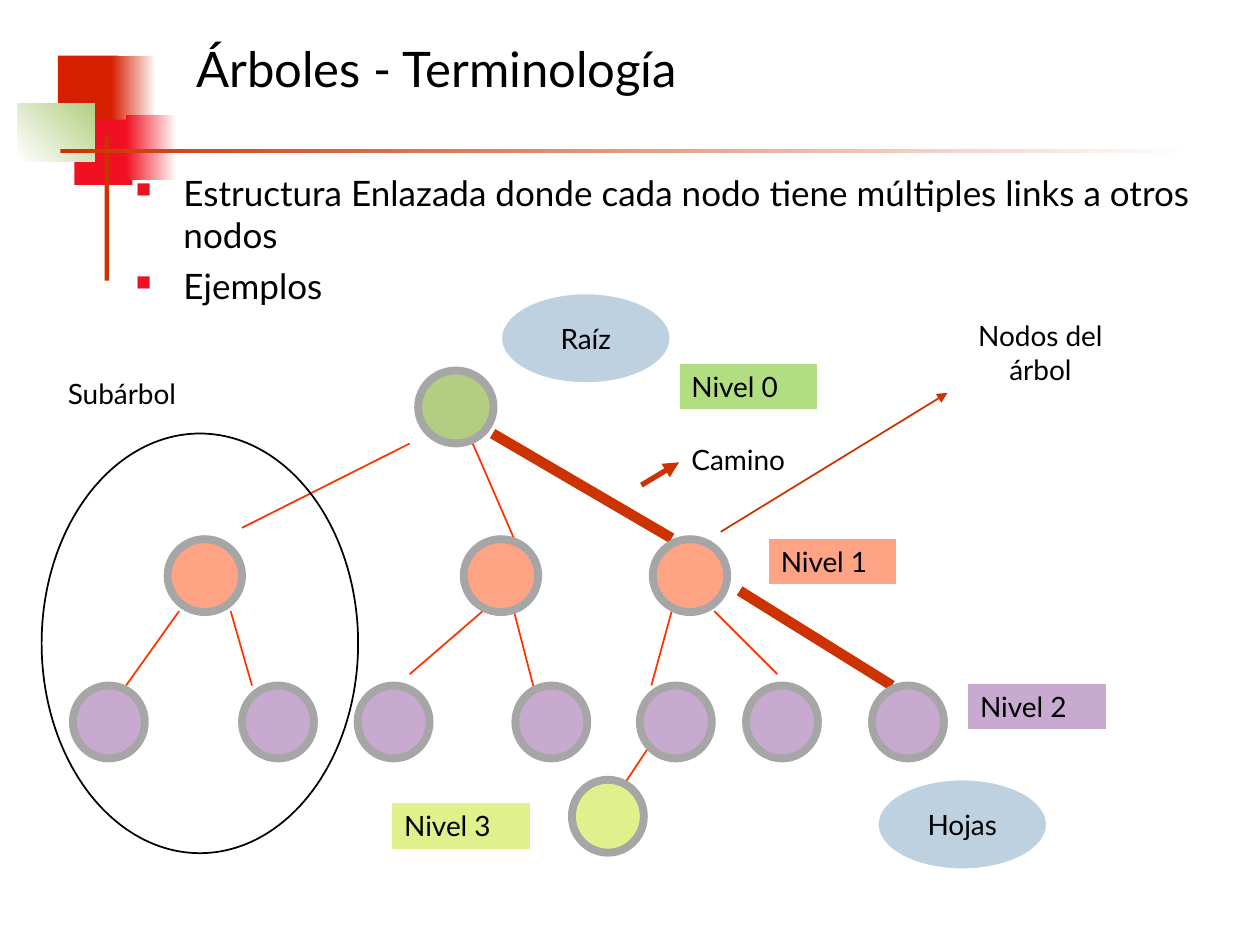
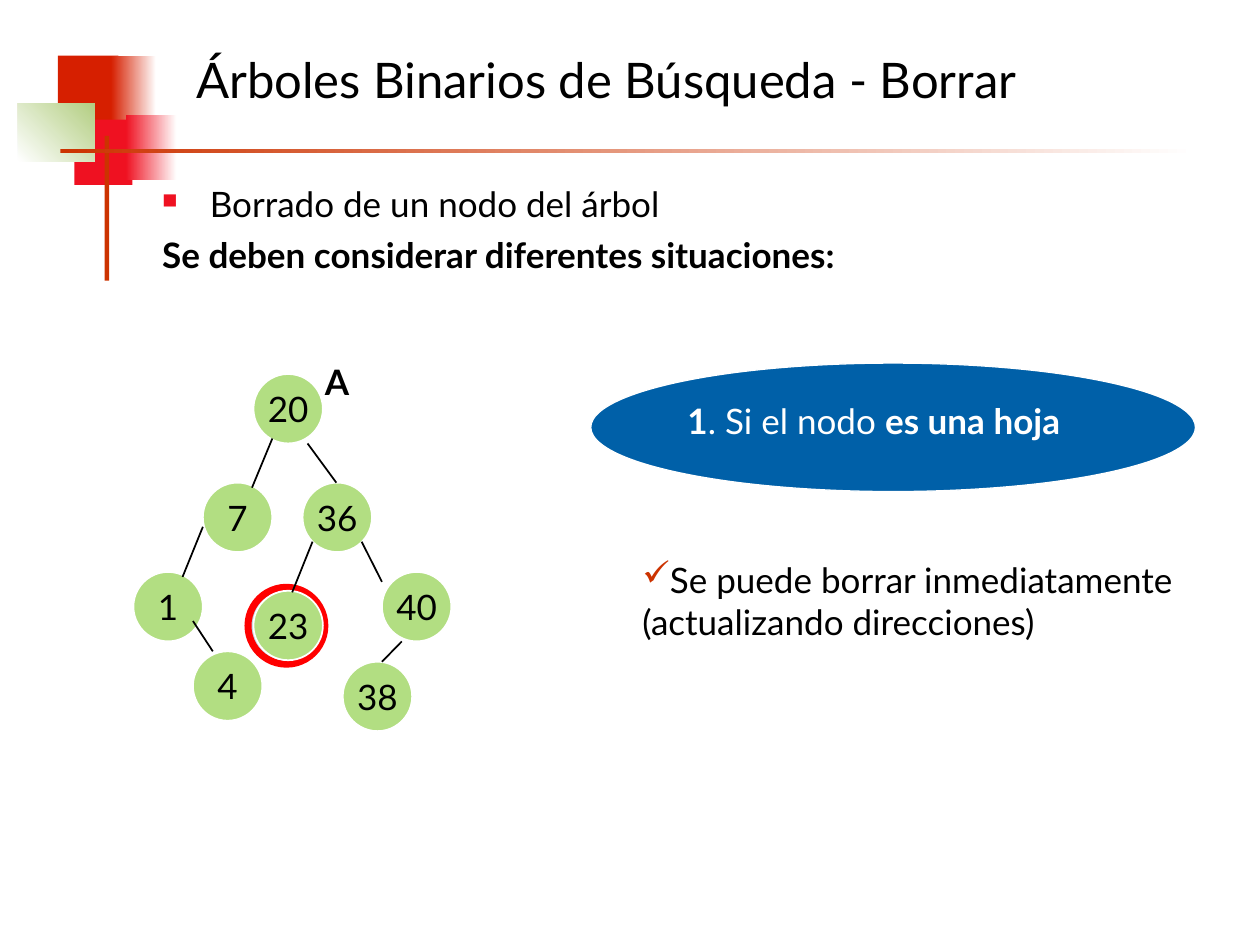
from dataclasses import dataclass
from typing import NamedTuple, Optional

import pptx
import pptx.dml.color
import pptx.enum.shapes
import pptx.enum.text
import pptx.oxml
import pptx.oxml.ns
import pptx.shapes.autoshape
import pptx.slide
import pptx.text.text
import pptx.util
from lxml import etree
from pptx.util import Cm

SHAPES = pptx.enum.shapes.MSO_SHAPE
ALIGN = pptx.enum.text.PP_ALIGN
ANCHOR = pptx.enum.text.MSO_ANCHOR


# Theme: colours and type sizes
@dataclass(frozen=True)
class Theme:
    font: str = "Lato"
    title_size: int = 28
    body_size: int = 20
    label_size: int = 16
    black: str = "000000"
    white: str = "FFFFFF"
    brick: str = "D61F00"
    crimson: str = "EF1121"
    rust: str = "CC3300"
    edge: str = "FF3300"
    highlight: str = "FF0000"
    olive: str = "B3CE82"
    green: str = "B2DE82"
    salmon: str = "FFA385"
    lilac: str = "C8AAD1"
    lime: str = "DFF08C"
    pale_blue: str = "BED1E0"
    blue: str = "0060A8"
    grey: str = "A6A6A6"


THEME = Theme()


# Element records, all lengths in centimetres
class Box(NamedTuple):
    left: float
    top: float
    width: float
    height: float


class Edge(NamedTuple):
    x1: float
    y1: float
    x2: float
    y2: float


class Band(NamedTuple):
    box: Box
    colors: tuple[str, ...]
    angle: float = 0


class Outline(NamedTuple):
    color: str
    width: float


class Level(NamedTuple):
    top: float
    width: float
    color: str
    lefts: tuple[float, ...]


class Label(NamedTuple):
    text: str
    box: Box
    fill: Optional[str] = None
    centered: bool = False


class Bullet(NamedTuple):
    char: str
    color: str
    percent: int = 100


class Line(NamedTuple):
    runs: tuple[tuple[str, bool], ...]
    bullet: Optional[Bullet] = None
    indent: float = 0
    space_before: float = 0


SQUARE = Bullet("■", THEME.crimson, 60)
CHECK = Bullet("✓", THEME.rust)
BODY_INDENT = 0.96
BODY_SPACE = 5

BANDS = (
    Band(Box(1.17, 1.12, 1.22, 1.32), (THEME.brick,)),
    Band(Box(2.24, 1.12, 0.91, 1.32), (THEME.brick, THEME.white)),
    Band(Box(1.5, 2.41, 1.17, 1.32), (THEME.crimson,)),
    Band(Box(2.54, 2.31, 1.02, 1.32), (THEME.crimson, THEME.white)),
    Band(Box(0.36, 2.08, 1.55, 1.17), (THEME.white, THEME.olive), 45),
    Band(Box(2.11, 2.74, 0.09, 2.92), (THEME.rust,)),
    Band(Box(1.22, 3, 22.86, 0.09), (THEME.rust, THEME.white)),
)

# Terminology tree
NODE_HEIGHT = 1.47
LEVELS = (
    Level(7.47, 1.52, THEME.olive, (8.43,)),
    Level(10.87, 1.5, THEME.salmon, (3.38, 9.35, 13.16)),
    Level(13.82, 1.45, THEME.lilac, (1.47, 4.88, 7.21, 10.39, 12.9, 15.04, 17.58)),
    Level(15.72, 1.45, THEME.lime, (11.53,)),
)
BRANCHES = (
    Edge(8.26, 8.94, 4.88, 10.64), Edge(9.53, 8.94, 10.36, 10.85),
    Edge(3.61, 12.32, 2.54, 13.82), Edge(4.65, 12.32, 5.08, 13.82),
    Edge(9.73, 12.32, 8.26, 13.59), Edge(10.36, 12.32, 10.8, 14.02),
    Edge(13.54, 12.32, 13.13, 13.82), Edge(14.4, 12.32, 15.67, 13.59),
    Edge(13.06, 15.09, 12.62, 15.75),
)
ROUTE = (Edge(9.93, 8.74, 13.54, 10.85), Edge(14.91, 11.91, 17.98, 13.82))
LABELS = (
    Label("Subárbol", Box(1.12, 7.47, 3, 0.94)),
    Label("Camino", Box(13.69, 8.79, 3.15, 0.94)),
    Label("Nodos del árbol", Box(19.25, 6.3, 3.45, 1.63), centered=True),
    Label("Nivel 0", Box(13.69, 7.32, 2.79, 0.94), THEME.green),
    Label("Nivel 1", Box(15.49, 10.85, 2.59, 0.94), THEME.salmon),
    Label("Nivel 2", Box(19.51, 13.77, 2.79, 0.94), THEME.lilac),
    Label("Nivel 3", Box(7.9, 16.18, 2.79, 0.94), THEME.lime),
)
CALLOUTS = (
    Label("Raíz", Box(10.11, 5.92, 3.4, 1.8)),
    Label("Hojas", Box(17.7, 15.72, 3.4, 1.8)),
)

# Binary search tree: value -> left, top
KEY_SIZE = 1.4
KEYS = {
    20: (5.11, 7.54), 7: (4.09, 9.73), 36: (6.1, 9.73), 1: (2.69, 11.53),
    4: (3.89, 13.13), 23: (5.11, 11.91), 40: (7.7, 11.53), 38: (6.91, 13.34),
}
KEY_EDGES = (
    Edge(5.49, 8.84, 5.08, 9.83), Edge(6.2, 8.94, 6.78, 9.73),
    Edge(4.09, 10.62, 3.68, 11.63), Edge(3.89, 12.52, 4.29, 13.13),
    Edge(6.3, 10.92, 5.89, 11.94), Edge(7.29, 10.92, 7.7, 11.73),
    Edge(8.1, 12.93, 7.7, 13.34),
)


# Drawing functions
def rgb(color: str) -> pptx.dml.color.RGBColor:
    return pptx.dml.color.RGBColor.from_string(color)


def plain(text: str, bold: bool = False) -> Line:
    return Line(((text, bold),))


def add_shape(slide: pptx.slide.Slide, kind: SHAPES, box: Box,
              fill: Optional[str] = None,
              outline: Optional[Outline] = None) -> pptx.shapes.autoshape.Shape:
    shape = slide.shapes.add_shape(kind, *map(Cm, box))
    shape.shadow.inherit = False
    if fill:
        shape.fill.solid()
        shape.fill.fore_color.rgb = rgb(fill)
    else:
        shape.fill.background()
    if outline:
        shape.line.color.rgb = rgb(outline.color)
        shape.line.width = pptx.util.Pt(outline.width)
    else:
        shape.line.fill.background()
    return shape


def add_band(slide: pptx.slide.Slide, band: Band) -> None:
    shape = add_shape(slide, SHAPES.RECTANGLE, band.box, band.colors[0])
    if len(band.colors) > 1:
        shape.fill.gradient()
        shape.fill.gradient_angle = band.angle
        for stop, color in zip(shape.fill.gradient_stops, band.colors):
            stop.color.rgb = rgb(color)


def add_edge(slide: pptx.slide.Slide, edge: Edge, outline: Outline,
             arrow: bool = False) -> None:
    connector = slide.shapes.add_connector(
        pptx.enum.shapes.MSO_CONNECTOR.STRAIGHT, *map(Cm, edge))
    connector.line.color.rgb = rgb(outline.color)
    connector.line.width = pptx.util.Pt(outline.width)
    if arrow:
        tail = etree.SubElement(connector.line._get_or_add_ln(),
                                pptx.oxml.ns.qn("a:tailEnd"))
        tail.set("type", "triangle")
    etree.SubElement(connector._element.spPr, pptx.oxml.ns.qn("a:effectLst"))


def add_bullet(paragraph: pptx.text.text._Paragraph, bullet: Bullet) -> None:
    properties = paragraph._p.get_or_add_pPr()
    namespace = pptx.oxml.ns.nsdecls("a")
    for xml in (
        f'<a:buClr {namespace}><a:srgbClr val="{bullet.color}"/></a:buClr>',
        f'<a:buSzPct {namespace} val="{bullet.percent * 1000}"/>',
        f'<a:buChar {namespace} char="{bullet.char}"/>',
    ):
        properties.append(pptx.oxml.parse_xml(xml))


def write(frame: pptx.text.text.TextFrame, lines: tuple[Line, ...], size: int,
          color: str = THEME.black, align: ALIGN = ALIGN.LEFT,
          anchor: ANCHOR = ANCHOR.TOP, wrap: bool = True) -> None:
    frame.word_wrap = wrap
    frame.vertical_anchor = anchor
    for index, line in enumerate(lines):
        paragraph = frame.add_paragraph() if index else frame.paragraphs[0]
        paragraph.alignment = align
        if line.indent:
            properties = paragraph._p.get_or_add_pPr()
            properties.set("marL", str(Cm(line.indent)))
            properties.set("indent", str(-Cm(line.indent)))
        if line.bullet:
            add_bullet(paragraph, line.bullet)
        if index:
            paragraph.space_before = pptx.util.Pt(line.space_before)
        paragraph.font.name = THEME.font
        paragraph.font.size = pptx.util.Pt(size)
        paragraph.font.color.rgb = rgb(color)
        for text, bold in line.runs:
            run = paragraph.add_run()
            run.text = text
            if bold:
                run.font.bold = True


def add_text(slide: pptx.slide.Slide, box: Box, lines: tuple[Line, ...],
             size: int = THEME.body_size, color: str = THEME.black,
             anchor: ANCHOR = ANCHOR.TOP) -> None:
    text_box = slide.shapes.add_textbox(*map(Cm, box))
    write(text_box.text_frame, lines, size, color, anchor=anchor)


def add_disc(slide: pptx.slide.Slide, text: str, box: Box, fill: str,
             outline: Outline, size: int) -> None:
    disc = add_shape(slide, SHAPES.OVAL, box, fill, outline)
    write(disc.text_frame, (plain(text),), size, align=ALIGN.CENTER,
          anchor=ANCHOR.MIDDLE, wrap=False)


def add_label(slide: pptx.slide.Slide, label: Label) -> None:
    shape = add_shape(slide, SHAPES.RECTANGLE, label.box, label.fill,
                      Outline(THEME.white, 0.5))
    write(shape.text_frame, (plain(label.text),), THEME.label_size,
          align=ALIGN.CENTER if label.centered else ALIGN.LEFT)


def add_slide(presentation, title: str, title_box: Box) -> pptx.slide.Slide:
    slide = presentation.slides.add_slide(presentation.slide_layouts[6])
    for band in BANDS:
        add_band(slide, band)
    add_text(slide, title_box, (plain(title),), THEME.title_size,
             anchor=ANCHOR.MIDDLE)
    return slide


# Slides
def build_terminology(presentation) -> None:
    slide = add_slide(presentation, "Árboles - Terminología", Box(3.71, 0.2, 11.2, 2.34))
    texts = ("Estructura Enlazada donde cada nodo tiene múltiples links a otros nodos",
             "Ejemplos")
    add_text(slide, Box(2.49, 3.33, 22, 3.2), tuple(
        Line(((text, False),), SQUARE, BODY_INDENT, BODY_SPACE) for text in texts))
    for edge in BRANCHES:
        add_edge(slide, edge, Outline(THEME.edge, 1))
    add_shape(slide, SHAPES.OVAL, Box(0.84, 8.74, 6.38, 8.46),
              outline=Outline(THEME.black, 1))
    for edge in ROUTE:
        add_edge(slide, edge, Outline(THEME.rust, 6))
    add_edge(slide, Edge(12.93, 9.78, 13.69, 9.32), Outline(THEME.rust, 3), arrow=True)
    for level in LEVELS:
        for left in level.lefts:
            add_shape(slide, SHAPES.OVAL, Box(left, level.top, level.width, NODE_HEIGHT),
                      level.color, Outline(THEME.grey, 4.5))
    for label in LABELS:
        add_label(slide, label)
    for callout in CALLOUTS:
        add_disc(slide, callout.text, callout.box, THEME.pale_blue,
                 Outline(THEME.white, 0.75), THEME.label_size)
    add_edge(slide, Edge(14.53, 10.72, 19.1, 7.92), Outline(THEME.rust, 1), arrow=True)


def build_deletion(presentation) -> None:
    slide = add_slide(presentation, "Árboles Binarios de Búsqueda - Borrar",
                      Box(3.71, 0.33, 20.6, 2.54))
    add_text(slide, Box(3.02, 3.56, 20.47, 2.97), (
        Line((("Borrado de un nodo del árbol", False),), SQUARE, BODY_INDENT),
        Line((("Se deben considerar diferentes situaciones:", True),),
             indent=BODY_INDENT, space_before=BODY_SPACE)))
    # Tree with the leaf to delete ringed
    add_shape(slide, SHAPES.OVAL, Box(5, 11.84, 1.55, 1.55), THEME.pale_blue,
              Outline(THEME.highlight, 4))
    for key, (left, top) in KEYS.items():
        add_disc(slide, str(key), Box(left, top, KEY_SIZE, KEY_SIZE), THEME.green,
                 Outline(THEME.white, 1), THEME.body_size)
    for edge in KEY_EDGES:
        add_edge(slide, edge, Outline(THEME.black, 1))
    add_text(slide, Box(6.3, 7.14, 0.99, 1.12), (plain("A", True),))
    # Case and its rule
    add_shape(slide, SHAPES.OVAL, Box(11.91, 7.32, 12.19, 2.59), THEME.blue,
              Outline(THEME.white, 0.75))
    case = Line((("1", True), (". Si el nodo ", False), ("es una hoja", True)))
    add_text(slide, Box(13.61, 7.92, 9, 1.12), (case,), color=THEME.white)
    add_text(slide, Box(12.7, 11.13, 11.61, 2.79), (
        Line((("Se puede borrar inmediatamente", False),), CHECK),
        plain("(actualizando direcciones)")))


def main() -> None:
    presentation = pptx.Presentation()
    presentation.slide_width = Cm(25.4)
    presentation.slide_height = Cm(19.05)
    build_terminology(presentation)
    build_deletion(presentation)
    presentation.save("out.pptx")


if __name__ == "__main__":
    main()
